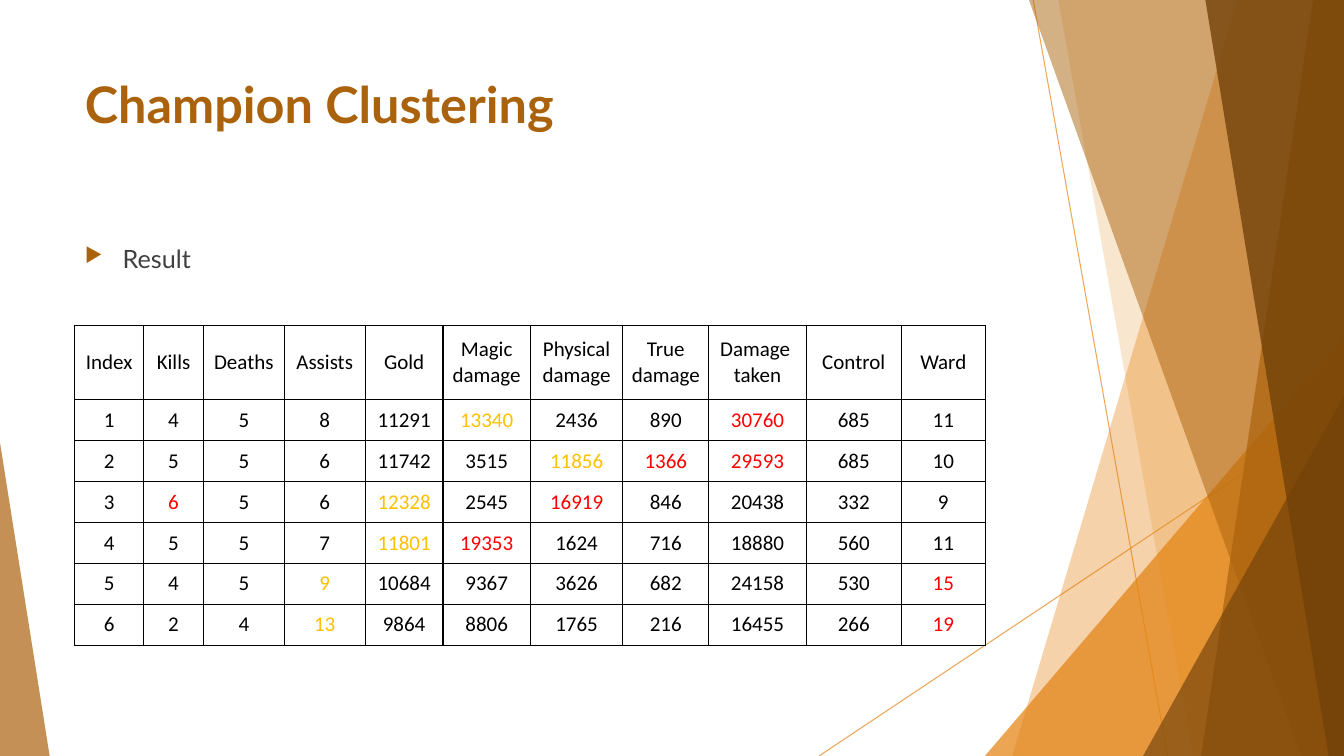
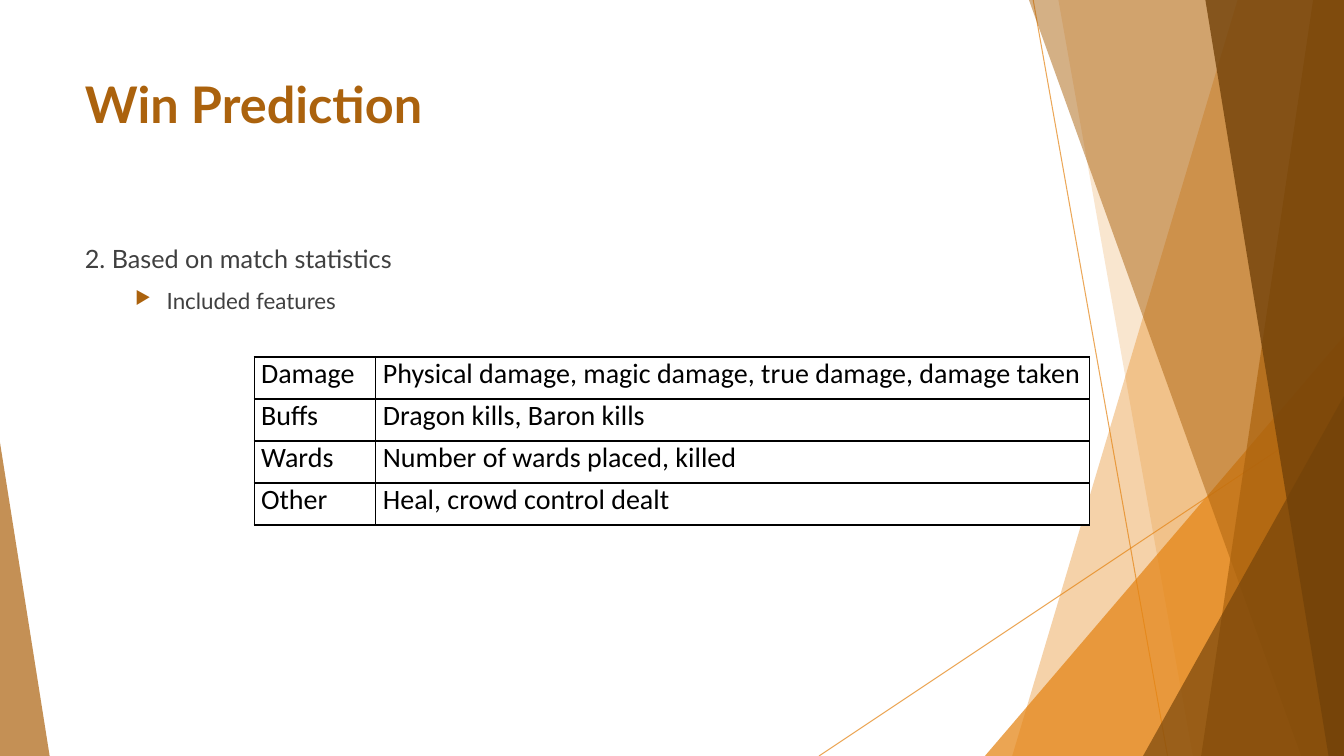
"""Builds two slides on champion clustering and win prediction, each with a bordered table."""
import dataclasses

import lxml.etree
import pptx
import pptx.dml.color
import pptx.enum.shapes
import pptx.enum.text
import pptx.oxml.ns
import pptx.util

Pt = pptx.util.Pt
ALIGN = pptx.enum.text.PP_ALIGN
ANCHOR = pptx.enum.text.MSO_ANCHOR


@dataclasses.dataclass(frozen=True)
class Theme:
    orange: str = "E48312"
    brown: str = "AB620D"
    dark: str = "724209"
    body: str = "404040"
    black: str = "000000"
    white: str = "FFFFFF"
    amber: str = "FFC000"
    red: str = "FF0000"
    text_font: str = "Lato"
    table_font: str = "Calibri"
    title_size: float = 36
    level_sizes: tuple = (18, 16)
    width: float = 960
    height: float = 540


THEME = Theme()

RAYS = [((738, 0), (834, 540)), ((960, 290), (585, 540))]
BACK_BANDS = [(884, 723, THEME.orange, 36), (756, 852, THEME.orange, 20)]
FRONT_BANDS = [(735, 929.5, THEME.brown, 50), (938, 858, THEME.brown, 70), (861, 949, THEME.dark, 80)]
MIDDLE_CORNER = (703.5, 240, 256.5, 1, THEME.orange, 72)
FRONT_CORNERS = [(816.5, 283, 143.5, 1, THEME.dark, 66), (0, 316, 35.5, 0, THEME.brown, 70)]

CLUSTER_ROWS = [
    ("Index", "Kills", "Deaths", "Assists", "Gold", "Magic\ndamage", "Physical\ndamage",
     "True\ndamage", "Damage \ntaken", "Control", "Ward"),
    (1, 4, 5, 8, 11291, 13340, 2436, 890, 30760, 685, 11),
    (2, 5, 5, 6, 11742, 3515, 11856, 1366, 29593, 685, 10),
    (3, 6, 5, 6, 12328, 2545, 16919, 846, 20438, 332, 9),
    (4, 5, 5, 7, 11801, 19353, 1624, 716, 18880, 560, 11),
    (5, 4, 5, 9, 10684, 9367, 3626, 682, 24158, 530, 15),
    (6, 2, 4, 13, 9864, 8806, 1765, 216, 16455, 266, 19),
]
CLUSTER_HIGHLIGHTS = {
    **dict.fromkeys([(1, 5), (2, 6), (3, 4), (4, 4), (5, 3), (6, 3)], THEME.amber),
    **dict.fromkeys([(1, 8), (2, 7), (2, 8), (3, 1), (3, 6), (4, 5), (5, 10), (6, 10)], THEME.red),
}
FEATURE_ROWS = [
    ("Damage", "Physical damage, magic damage, true damage, damage taken"),
    ("Buffs", "Dragon kills, Baron kills"),
    ("Wards", "Number of wards placed, killed"),
    ("Other", "Heal, crowd control dealt"),
]

SLIDES = [
    {
        "title": "Champion Clustering",
        "points": [("Result", 0, True)],
        "table": {
            "rows": CLUSTER_ROWS, "highlights": CLUSTER_HIGHLIGHTS, "corner": (53.5, 232.5),
            "widths": [49, 43, 57.5, 58, 55.5, 62.5, 66, 61.5, 69.5, 68, 60],
            "heights": [53] + [29.25] * 6,
            "size": 15, "align": ALIGN.CENTER, "anchor": ANCHOR.MIDDLE,
        },
    },
    {
        "title": "Win Prediction",
        "points": [("2. Based on match statistics", 0, False), ("Included features", 1, True)],
        "table": {
            "rows": FEATURE_ROWS, "highlights": {}, "corner": (181.5, 255),
            "widths": [87, 510], "heights": [30] * 4,
            "size": 20, "align": ALIGN.JUSTIFY, "anchor": ANCHOR.TOP,
        },
    },
]
BULLET_INDENTS = [(27, -27), (58.5, -22.5)]


def rgb(colour):
    return pptx.dml.color.RGBColor.from_string(colour)


def add_xml(parent, tag, **attributes):
    return lxml.etree.SubElement(parent, pptx.oxml.ns.qn(tag), attributes)


def tint(fill, element, colour, opacity):
    fill.solid()
    fill.fore_color.rgb = rgb(colour)
    clr = next(element.iter(pptx.oxml.ns.qn("a:srgbClr")))
    add_xml(clr, "a:alpha", val=str(opacity * 1000))


def finish(shape, colour, opacity):
    shape.shadow.inherit = False
    shape.line.fill.background()
    tint(shape.fill, shape.fill._xPr, colour, opacity)


def add_ray(slide, start, end):
    ray = slide.shapes.add_connector(
        pptx.enum.shapes.MSO_CONNECTOR.STRAIGHT, *map(Pt, start + end))
    ray.line.width = Pt(0.75)
    tint(ray.line.fill, ray.line._ln, THEME.orange, 70)
    add_xml(ray._element.spPr, "a:effectLst")


def add_band(slide, top_x, bottom_x, colour, opacity):
    outline = slide.shapes.build_freeform(Pt(top_x), Pt(0))
    outline.add_line_segments([
        (Pt(THEME.width), Pt(0)), (Pt(THEME.width), Pt(THEME.height)), (Pt(bottom_x), Pt(THEME.height))])
    finish(outline.convert_to_shape(), colour, opacity)


def add_corner(slide, left, top, width, apex, colour, opacity):
    corner = slide.shapes.add_shape(
        pptx.enum.shapes.MSO_SHAPE.ISOSCELES_TRIANGLE,
        Pt(left), Pt(top), Pt(width), Pt(THEME.height - top))
    corner.adjustments[0] = apex
    finish(corner, colour, opacity)


def add_backdrop(slide):
    for ray in RAYS:
        add_ray(slide, *ray)
    for band in BACK_BANDS:
        add_band(slide, *band)
    add_corner(slide, *MIDDLE_CORNER)
    for band in FRONT_BANDS:
        add_band(slide, *band)
    for corner in FRONT_CORNERS:
        add_corner(slide, *corner)


def style(paragraph, font, size, colour, bold=False):
    for run in paragraph.runs:
        run.font.name = font
        run.font.size = Pt(size)
        run.font.bold = bold
        run.font.color.rgb = rgb(colour)


def add_text_area(slide, top, height, text):
    frame = slide.shapes.add_textbox(Pt(53.5), Pt(top), Pt(677), Pt(height)).text_frame
    frame.word_wrap = True
    frame.text = text
    return frame


def add_bullet(paragraph, level):
    margin, indent = BULLET_INDENTS[level]
    properties = paragraph._p.get_or_add_pPr()
    properties.set("marL", str(Pt(margin)))
    properties.set("indent", str(Pt(indent)))
    add_xml(add_xml(properties, "a:buClr"), "a:srgbClr", val=THEME.brown)
    add_xml(properties, "a:buSzPct", val="80000")
    add_xml(properties, "a:buChar", char="▶")


def add_points(slide, points):
    frame = add_text_area(slide, 170, 305, "\n".join(text for text, _, _ in points))
    for paragraph, (_, level, bulleted) in zip(frame.paragraphs, points):
        paragraph.level = level
        paragraph.space_before = Pt(10)
        if bulleted:
            add_bullet(paragraph, level)
        style(paragraph, THEME.text_font, THEME.level_sizes[level], THEME.body)


def add_borders(cell):
    properties = cell._tc.get_or_add_tcPr()
    for side in ("a:lnL", "a:lnR", "a:lnT", "a:lnB"):
        border = add_xml(properties, side, w=str(Pt(1)))
        add_xml(add_xml(border, "a:solidFill"), "a:srgbClr", val=THEME.black)


def fill_cell(cell, value, colour, spec_table):
    cell.text = str(value)
    cell.vertical_anchor = spec_table["anchor"]
    cell.margin_left = cell.margin_right = Pt(5)
    cell.margin_top = cell.margin_bottom = 0
    add_borders(cell)
    cell.fill.solid()
    cell.fill.fore_color.rgb = rgb(THEME.white)
    for paragraph in cell.text_frame.paragraphs:
        paragraph.alignment = spec_table["align"]
        style(paragraph, THEME.table_font, spec_table["size"], colour)


def add_grid(slide, content):
    widths, heights = content["widths"], content["heights"]
    grid = slide.shapes.add_table(
        len(heights), len(widths), *map(Pt, content["corner"]), Pt(sum(widths)), Pt(sum(heights))).table
    grid.first_row = grid.horz_banding = False
    for column, width in zip(grid.columns, widths):
        column.width = Pt(width)
    for row, height in zip(grid.rows, heights):
        row.height = Pt(height)
    for r, values in enumerate(content["rows"]):
        for c, value in enumerate(values):
            colour = content["highlights"].get((r, c), THEME.black)
            fill_cell(grid.cell(r, c), value, colour, content)


def main():
    deck = pptx.Presentation()
    deck.slide_width, deck.slide_height = Pt(THEME.width), Pt(THEME.height)
    for content in SLIDES:
        slide = deck.slides.add_slide(deck.slide_layouts[6])
        add_backdrop(slide)
        title = add_text_area(slide, 48.5, 104, content["title"])
        style(title.paragraphs[0], THEME.text_font, THEME.title_size, THEME.brown, bold=True)
        add_points(slide, content["points"])
        add_grid(slide, content["table"])
    deck.save("out.pptx")


if __name__ == "__main__":
    main()
